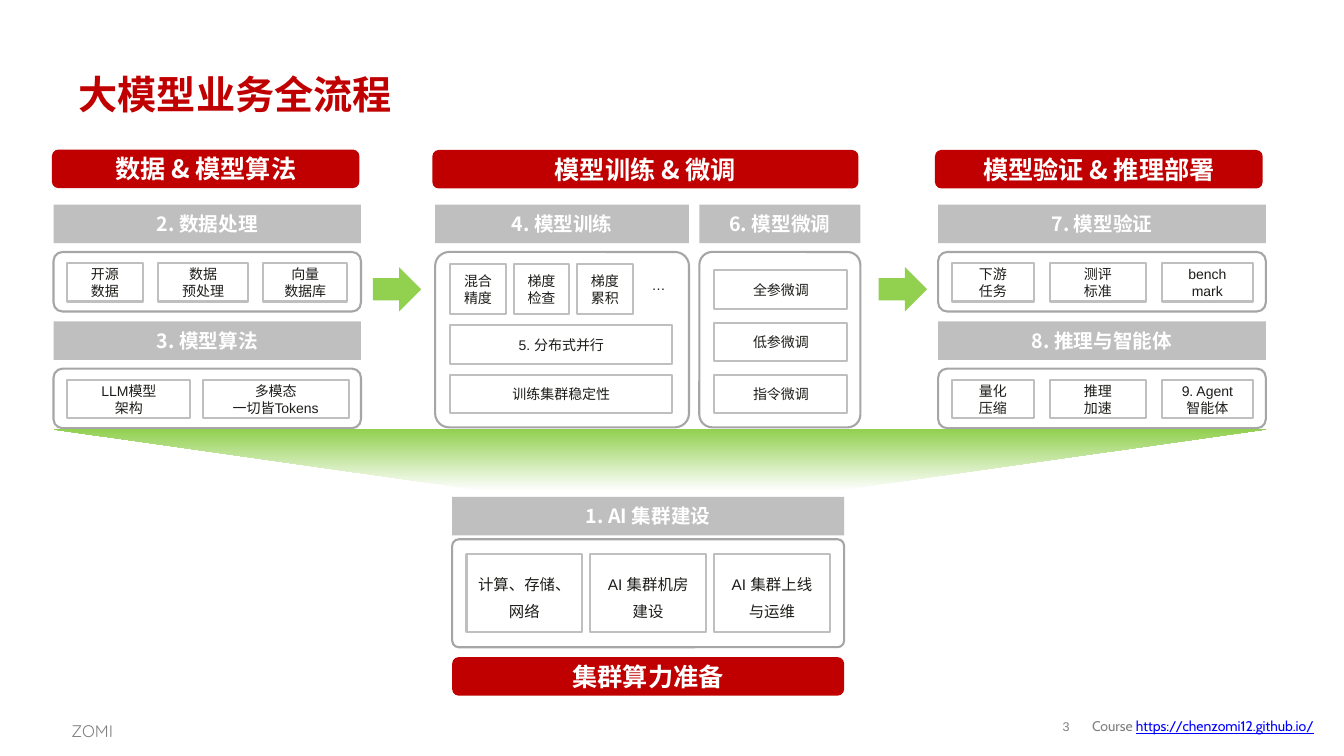
"""Build the slide on the full workflow of large-model projects."""
import pptx
import pptx.util
import pptx.dml.color
import pptx.enum.shapes
import pptx.enum.text
import lxml.etree
from dataclasses import dataclass

Cm, Pt = pptx.util.Cm, pptx.util.Pt
RGB = pptx.dml.color.RGBColor.from_string
SHAPE = pptx.enum.shapes.MSO_SHAPE
ALIGN = pptx.enum.text.PP_ALIGN
ANCHOR = pptx.enum.text.MSO_ANCHOR


@dataclass(frozen=True)
class Theme:
    red: str = "C00000"
    header: str = "BFBFBF"
    outline: str = "A6A6A6"
    green: str = "92D050"
    white: str = "FFFFFF"
    ink: str = "1D1D1A"
    footer: str = "808080"
    link: str = "0000FF"
    title_size: float = 28
    banner_size: float = 18
    header_size: float = 14
    brand_size: float = 12
    cluster_size: float = 11
    item_size: float = 10
    number_size: float = 9
    cjk: str = "Noto Sans CJK SC"
    sans: str = "Arial"
    title_font: str = "Quicksand"
    course_font: str = "Cabin"


T = Theme()
STYLES = {
    "banner": (SHAPE.ROUNDED_RECTANGLE, T.red, None, (T.banner_size, T.cjk, T.white, True)),
    "header": (SHAPE.RECTANGLE, T.header, None, (T.header_size, T.cjk, T.white, True)),
    "panel": (SHAPE.ROUNDED_RECTANGLE, None, T.outline, None),
    "item": (SHAPE.RECTANGLE, None, T.header, (T.item_size, T.sans, T.ink, False)),
    "cluster": (SHAPE.RECTANGLE, None, T.header, (T.cluster_size, T.sans, T.ink, False)),
    "arrow": (SHAPE.RIGHT_ARROW, T.green, None, None),
    "funnel": (SHAPE.TRAPEZOID, T.green, None, None),
}


def format_text(tf, size, font, color, bold=False, align=ALIGN.CENTER, spacing=1.0):
    tf.vertical_anchor = ANCHOR.MIDDLE
    for p in tf.paragraphs:
        p.alignment = align
        p.line_spacing = spacing
        for r in p.runs:
            r.font.size = Pt(size)
            r.font.name = font
            r.font.bold = bold
            r.font.color.rgb = RGB(color)
            ea = lxml.etree.SubElement(r.font._element, pptx.oxml.ns.qn("a:ea"))
            ea.set("typeface", T.cjk)


def add_box(style, x, y, w, h, text="", adj=None, spacing=1.0):
    kind, fill, line, text_style = STYLES[style]
    sp = s.shapes.add_shape(kind, Cm(x), Cm(y), Cm(w), Cm(h))
    sp.shadow.inherit = False
    if fill:
        sp.fill.solid()
        sp.fill.fore_color.rgb = RGB(fill)
    else:
        sp.fill.background()
    if line:
        sp.line.color.rgb = RGB(line)
        sp.line.width = Pt(1.5)
    else:
        sp.line.fill.background()
    if adj is not None:
        sp.adjustments[0] = adj
    if text:
        sp.text_frame.text = text
        format_text(sp.text_frame, *text_style, spacing=spacing)
    return sp


prs = pptx.Presentation()
prs.slide_width, prs.slide_height = Cm(33.88), Cm(19.05)
s = prs.slides.add_slide(prs.slide_layouts[5])

title = s.shapes.title
title.left, title.top, title.width, title.height = Cm(1.73), Cm(1.55), Cm(30.45), Cm(1.63)
title.text_frame.text = "大模型业务全流程"
format_text(title.text_frame, T.title_size, T.title_font, T.red, True, ALIGN.LEFT)

BAR_H = 0.97
HEADER_Y, PANEL_Y, ITEM_Y, ROW_PITCH = 5.16, 6.35, 6.63, 2.94

for text, x, y, w in [
    ("数据 & 模型算法", 1.31, 3.77, 7.75),
    ("模型训练 & 微调", 10.9, 3.78, 10.74),
    ("模型验证 & 推理部署", 23.57, 3.78, 8.26),
    ("集群算力准备", 11.4, 16.56, 9.88),
]:
    add_box("banner", x, y, w, BAR_H, text)

side_columns = [
    (1.35, 7.75, [
        ("2. 数据处理", [("开源\n数据", 1.68, 1.93), ("数据\n预处理", 3.99, 2.26), ("向量\n数据库", 6.63, 2.13)]),
        ("3. 模型算法", [("LLM模型\n架构", 1.7, 3.1), ("多模态\n一切皆Tokens", 5.11, 3.68)]),
    ]),
    (23.65, 8.26, [
        ("7. 模型验证", [("下游\n任务", 24, 2.06), ("测评\n标准", 26.47, 2.41), ("bench\nmark", 29.29, 2.29)]),
        ("8. 推理与智能体", [("量化\n压缩", 24, 2.06), ("推理\n加速", 26.47, 2.41), ("9. Agent\n智能体", 29.29, 2.29)]),
    ]),
]
for x, w, sections in side_columns:
    for row, (header, items) in enumerate(sections):
        dy = row * ROW_PITCH
        add_box("header", x, HEADER_Y + dy, w, BAR_H, header)
        add_box("panel", x, PANEL_Y + dy, w, 1.5, adj=0.15)
        for text, item_x, item_w in items:
            add_box("item", item_x, ITEM_Y + dy, item_w, BAR_H, text)

for text, x, w in [("4. 模型训练", 10.97, 6.4), ("6. 模型微调", 17.63, 4.06)]:
    add_box("header", x, HEADER_Y, w, BAR_H, text)
    add_box("panel", x, PANEL_Y, w, 4.42, adj=0.08)
for i, text in enumerate(["混合精度", "梯度检查", "梯度累积"]):
    add_box("item", 11.35 + 1.6 * i, 6.66, 1.4, 1.25, text)
for i, text in enumerate(["5. 分布式并行", "训练集群稳定性"]):
    add_box("item", 11.35, 8.2 + 1.25 * i, 5.6, BAR_H, text)
for i, text in enumerate(["全参微调", "低参微调", "指令微调"]):
    add_box("item", 18.01, 6.81 + 1.32 * i, 3.35, BAR_H, text)

more = s.shapes.add_textbox(Cm(16.1), Cm(6.83), Cm(1), Cm(0.69))
more.text_frame.text = "…"
format_text(more.text_frame, T.item_size, T.sans, T.ink)

for x in (9.4, 22.15):
    add_box("arrow", x, 6.73, 1.22, 1.12)

funnel = add_box("funnel", 1.35, 10.82, 30.56, 1.55, adj=7.03)
funnel.rotation = 180
funnel.fill.gradient()
funnel.fill.gradient_angle = 270
for stop, position, color in zip(funnel.fill.gradient_stops, (0, 1), (T.white, T.green)):
    stop.position = position
    stop.color.rgb = RGB(color)

add_box("header", 11.4, 12.52, 9.88, BAR_H, "1. AI 集群建设")
add_box("panel", 11.4, 13.59, 9.88, 2.72, adj=0.06)
for i, text in enumerate(["计算、存储、网络", "AI 集群机房建设", "AI 集群上线与运维"]):
    add_box("cluster", 11.76 + 3.12 * i, 13.97, 2.92, 1.96, text, spacing=1.5)

number = s.shapes.add_textbox(Cm(26.42), Cm(17.93), Cm(0.91), Cm(0.79))
tf = number.text_frame
tf.margin_left = tf.margin_right = tf.margin_top = tf.margin_bottom = 0
tf.text = "3"
format_text(tf, T.number_size, T.sans, T.footer, spacing=0.85)

brand = s.shapes.add_textbox(Cm(1.55), Cm(17.93), Cm(2.03), Cm(0.81))
brand.text_frame.text = "ZOMI"
format_text(brand.text_frame, T.brand_size, T.title_font, T.footer, align=ALIGN.LEFT, spacing=1.2)
brand.text_frame.vertical_anchor = ANCHOR.TOP

course = s.shapes.add_textbox(Cm(27.28), Cm(17.93), Cm(6.25), Cm(0.74))
tf = course.text_frame
tf.word_wrap = True
p = tf.paragraphs[0]
for text in ("Course ", "https://chenzomi12.github.io/"):
    p.add_run().text = text
format_text(tf, T.item_size, T.course_font, T.footer, align=ALIGN.LEFT)
p.runs[1].font.color.rgb = RGB(T.link)
p.runs[1].font.underline = True

prs.save("out.pptx")
